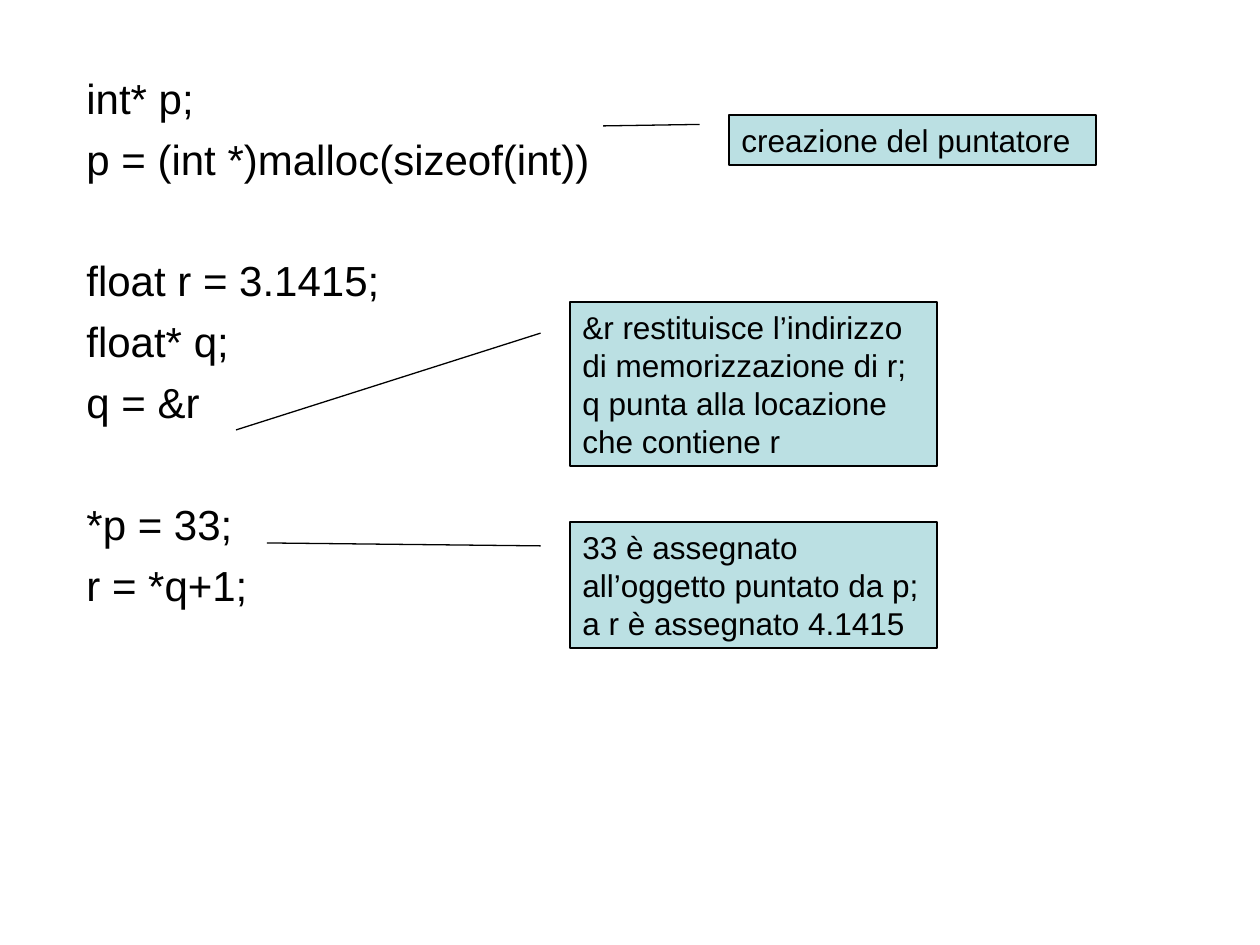
"""Slide on C pointers: a code listing with three callouts."""
from dataclasses import dataclass

from pptx import Presentation
from pptx.dml.color import RGBColor
from pptx.enum.shapes import MSO_SHAPE
from pptx.enum.text import MSO_ANCHOR, MSO_AUTO_SIZE, PP_ALIGN
from pptx.util import Emu, Pt

SCALE = 914400 / 126
CALLOUT = MSO_SHAPE.LINE_CALLOUT_1
TOP = MSO_ANCHOR.TOP
LEFT = PP_ALIGN.LEFT
GROW = MSO_AUTO_SIZE.SHAPE_TO_FIT_TEXT
FIXED = MSO_AUTO_SIZE.NONE
BLACK = "000000"
AQUA = "BBE0E3"
NEAR = 6
FAR = 40.8


@dataclass
class Note:
    left: int
    top: int
    width: int
    height: int
    tip: tuple[int, int]
    lines: list[str]


CODE = [
    ["int* p;", "p = (int *)malloc(sizeof(int))"],
    ["float r = 3.1415;", "float* q;", "q = &r"],
    ["*p = 33;", "r = *q+1;"],
]
NOTES = [
    Note(729, 115, 367, 50, (603, 126), ["creazione del puntatore"]),
    Note(570, 302, 367, 164, (236, 430), [
        "&r restituisce l’indirizzo di memorizzazione di r;",
        "q punta alla locazione che contiene r",
    ]),
    Note(570, 522, 367, 126, (267, 543), [
        "33 è assegnato all’oggetto puntato da p;",
        "a r è assegnato 4.1415",
    ]),
]


def px(size: int) -> Emu:
    return Emu(round(size * SCALE))


def paint(target, color: str) -> None:
    target.solid()
    target.fore_color.rgb = RGBColor.from_string(color)


def write(shape, lines: list[str], *, size: int, gaps: list[float], fit=FIXED) -> None:
    frame = shape.text_frame
    frame.word_wrap = True
    frame.auto_size = fit
    frame.vertical_anchor = TOP
    for i, (line, gap) in enumerate(zip(lines, gaps)):
        para = frame.add_paragraph() if i else frame.paragraphs[0]
        para.alignment = LEFT
        para.space_before = Pt(gap)
        run = para.add_run()
        run.text = line
        run.font.name = "Arial"
        run.font.size = Pt(size)
        paint(run.font.fill, BLACK)


def draw_code(slide, groups: list[list[str]]) -> None:
    box = slide.shapes.add_textbox(px(74), px(66), px(1142), px(824))
    lines = [line for group in groups for line in group]
    gaps = [NEAR if i else FAR for group in groups for i in range(len(group))]
    write(box, lines, size=24, gaps=[0] + gaps[1:])


def draw_note(slide, note: Note) -> None:
    shape = slide.shapes.add_shape(
        CALLOUT, px(note.left), px(note.top), px(note.width), px(note.height))
    shape.shadow.inherit = False
    paint(shape.fill, AQUA)
    paint(shape.line.fill, BLACK)
    shape.line.width = Pt(0.75)
    x, y = note.tip
    ends = (24 / 126 * 50 / note.height if note.height == 50 else 0.19, -0.08,
            (y - note.top) / note.height, (x - note.left) / note.width)
    for i, end in enumerate(ends):
        shape.adjustments[i] = end
    write(shape, note.lines, size=18, gaps=[0] * len(note.lines), fit=GROW)


def main() -> None:
    deck = Presentation()
    deck.slide_width, deck.slide_height = px(1260), px(945)
    slide = deck.slides.add_slide(deck.slide_layouts[6])
    draw_code(slide, CODE)
    for note in NOTES:
        draw_note(slide, note)
    deck.save("out.pptx")


if __name__ == "__main__":
    main()
